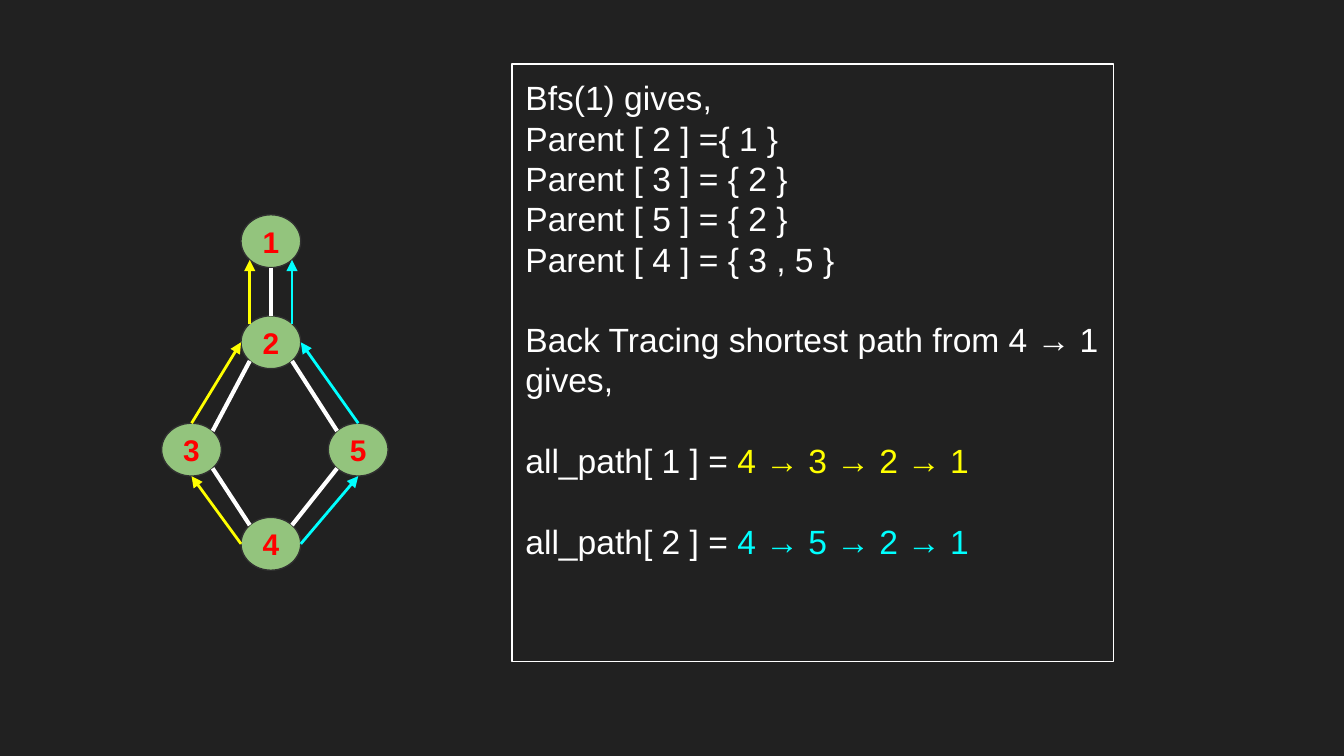
from math import sqrt

from lxml import etree
from pptx import Presentation
from pptx.dml.color import RGBColor
from pptx.enum.shapes import MSO_CONNECTOR, MSO_SHAPE
from pptx.enum.text import MSO_ANCHOR, PP_ALIGN
from pptx.oxml.ns import qn
from pptx.util import Cm, Pt

STRAIGHT = MSO_CONNECTOR.STRAIGHT
OVAL, RECTANGLE = MSO_SHAPE.OVAL, MSO_SHAPE.RECTANGLE
TOP, MIDDLE = MSO_ANCHOR.TOP, MSO_ANCHOR.MIDDLE
LEFT, CENTER = PP_ALIGN.LEFT, PP_ALIGN.CENTER

COLORS = {
    "background": "212121", "node": "93C47D", "outline": "303030",
    "label": "FF0000", "white": "FFFFFF", "yellow": "FFFF00", "cyan": "00FFFF",
}

# Content: node centres in cm, then links as (node, site, node, site)
NODES = {
    "1": (5.12, 4.56), "2": (5.12, 6.47), "3": (3.62, 8.5),
    "5": (6.77, 8.5), "4": (5.12, 10.28),
}
EDGES = [
    ("1", "bottom", "2", "top"),
    ("2", "bottom left", "3", "top right"),
    ("2", "bottom right", "5", "top left"),
    ("3", "bottom right", "4", "top left"),
    ("5", "bottom left", "4", "top right"),
]
# Each traced path runs from node 4 to node 1 on one side of the graph
PATHS = [("yellow", "left", "3"), ("cyan", "right", "5")]

# Paragraphs: (gap before in lines, [(text, colour), ...])
NOTES = [
    (0, [("Bfs(1) gives,", "white")]),
    (0, [("Parent [ 2 ] ={ 1 }", "white")]),
    (0, [("Parent [ 3 ] = { 2 }", "white")]),
    (0, [("Parent [ 5 ] = { 2 }", "white")]),
    (0, [("Parent [ 4 ] = { 3 , 5 }", "white")]),
    (1, [("Back Tracing shortest path from 4 → 1 gives,", "white")]),
    (1, [("all_path[ 1 ] = ", "white"), ("4 → 3 → 2 → 1", "yellow")]),
    (1, [("all_path[ 2 ] = ", "white"), ("4 → 5 → 2 → 1", "cyan")]),
]

NODE_WIDTH, NODE_HEIGHT = 1.13, 1.0
NOTE_AREA = (9.68, 1.21, 11.37, 11.29)
LINE_HEIGHT = 21.6
INSET = Cm(0.25)


def rgb(name):
    return RGBColor.from_string(COLORS[name])


def site(node, place):
    """Point on a node's outline, such as "top" or "bottom left"."""
    x, y = NODES[node]
    words = place.split()
    reach = 0.5 / sqrt(len(words))
    x += NODE_WIDTH * reach * (("right" in words) - ("left" in words))
    y += NODE_HEIGHT * reach * (("bottom" in words) - ("top" in words))
    return Cm(x), Cm(y)


def add_link(page, link, color, width, arrow=False):
    start, start_place, end, end_place = link
    line = page.shapes.add_connector(
        STRAIGHT, *site(start, start_place), *site(end, end_place))
    line.line.color.rgb = rgb(color)
    line.line.width = Pt(width)
    if arrow:
        etree.SubElement(line.line._get_or_add_ln(), qn("a:tailEnd"), type="triangle")
    etree.SubElement(line._element.spPr, qn("a:effectLst"))


def add_box(page, kind, area, fill, outline, anchor):
    box = page.shapes.add_shape(kind, *map(Cm, area))
    box.shadow.inherit = False
    if fill:
        box.fill.solid()
        box.fill.fore_color.rgb = rgb(fill)
    else:
        box.fill.background()
    box.line.color.rgb = rgb(outline)
    box.line.width = Pt(0.75)
    frame_format = {
        "word_wrap": True, "vertical_anchor": anchor, "margin_left": INSET,
        "margin_right": INSET, "margin_top": INSET, "margin_bottom": INSET,
    }
    for name, value in frame_format.items():
        setattr(box.text_frame, name, value)
    return box.text_frame


def add_span(para, text, color, size, bold=False):
    span = para.add_run()
    span.text = text
    for name, value in {"name": "Arial", "size": Pt(size), "bold": bold}.items():
        setattr(span.font, name, value)
    span.font.color.rgb = rgb(color)


def main():
    deck = Presentation()
    deck.slide_width, deck.slide_height = Cm(25.4), Cm(14.29)
    page = deck.slides.add_slide(deck.slide_layouts[6])
    page.background.fill.solid()
    page.background.fill.fore_color.rgb = rgb("background")

    # Graph nodes
    for label, (x, y) in NODES.items():
        area = (x - NODE_WIDTH / 2, y - NODE_HEIGHT / 2, NODE_WIDTH, NODE_HEIGHT)
        frame = add_box(page, OVAL, area, "node", "outline", MIDDLE)
        frame.word_wrap = False
        para = frame.paragraphs[0]
        para.alignment = CENTER
        add_span(para, label, "label", 16, bold=True)

    # Graph edges and the two traced paths
    for edge in EDGES:
        add_link(page, edge, "white", 2.25)
    for color, side, middle in PATHS:
        steps = [
            ("4", side, middle, "bottom"),
            (middle, "top", "2", side),
            ("2", f"top {side}", "1", f"bottom {side}"),
        ]
        for step in steps:
            add_link(page, step, color, 1.5, arrow=True)

    # Explanation
    frame = add_box(page, RECTANGLE, NOTE_AREA, None, "white", TOP)
    for number, (gap, spans) in enumerate(NOTES):
        para = frame.add_paragraph() if number else frame.paragraphs[0]
        para_format = {
            "alignment": LEFT, "line_spacing": Pt(LINE_HEIGHT),
            "space_before": Pt(gap * LINE_HEIGHT),
        }
        for name, value in para_format.items():
            setattr(para, name, value)
        for text, color in spans:
            add_span(para, text, color, 18)

    deck.save("out.pptx")


if __name__ == "__main__":
    main()
